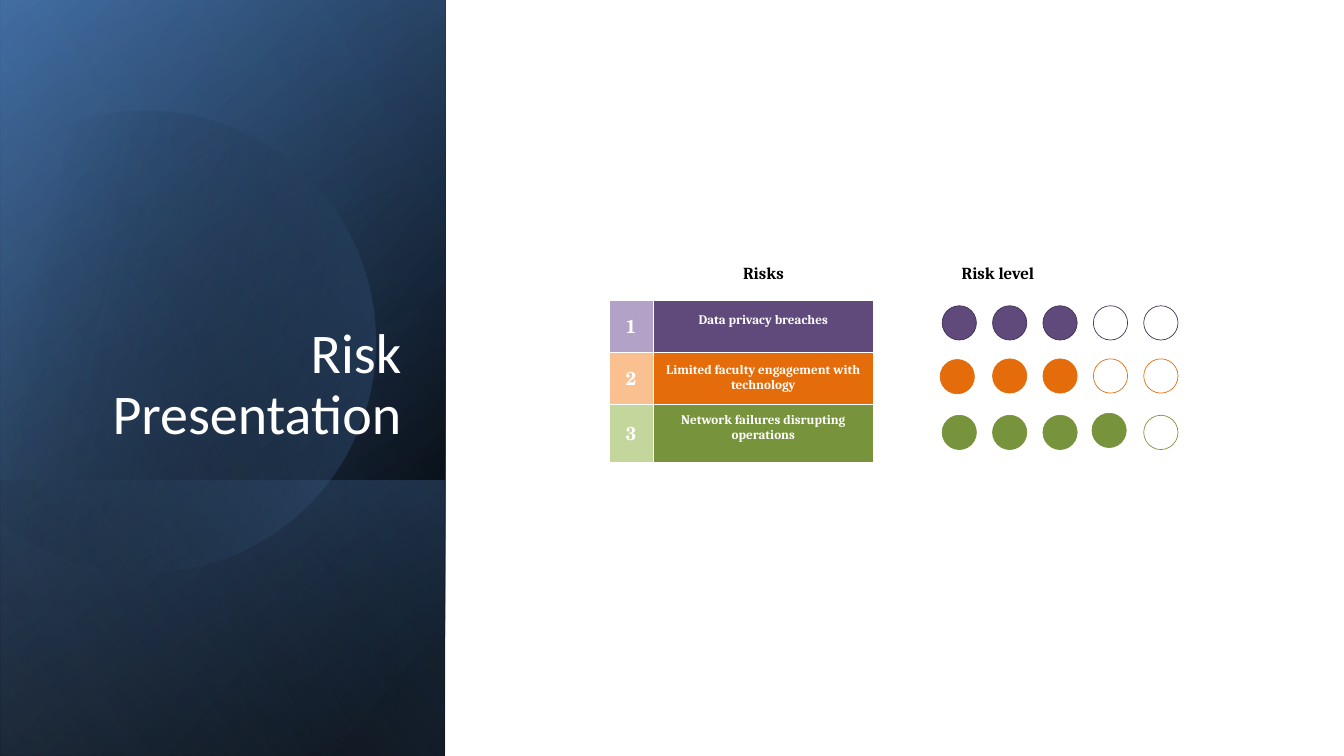
import math
from itertools import pairwise
from lxml import etree
from pptx import Presentation
from pptx import util as u
from pptx.dml.color import RGBColor
from pptx.enum import shapes, text
from pptx.oxml import ns

# Content
TITLE = "Risk Presentation"
HEADS = ("Risks", "Risk level")
RISKS = [  # name, level, tint, fill, ring, free space under the text
    ("Data privacy breaches", 3, "B3A2C7", "604A7B", "403152", 0.17),
    ("Limited faculty engagement with technology", 3,
     "FAC090", "E46C0A", "E46C0A", 0),
    ("Network failures disrupting operations", 4,
     "C3D69B", "77933C", "77933C", 0.17),
]
TOP = 5  # highest level

THEME = {
    "white": "FFFFFF", "black": "000000", "sky": "4F81BD",
    "title": ("Calibri", 60), "head": ("Cambria", 18),
    "num": ("TeX Gyre Schola", 20), "body": ("Cambria", 14),
    "line": 0.75,
}
WHITE, BLACK, SKY = THEME["white"], THEME["black"], THEME["sky"]

# Side panel: box, gradient stops (place, colour, opacity), angle
SIDE = (-2.31, 2.31, 11.25, 6.62)
BASE = [
    (SIDE, [(8, BLACK, 100), (100, "376092", 100)], 50),
    (SIDE, [(0, BLACK, 0), (99, SKY, 46)], 30),
    ((1.26, 5.89, 4.1, 6.62), [(2, SKY, 29), (100, BLACK, 30)], 130),
]
VEIL = (SIDE, [(0, BLACK, 0), (99, "95B3D7", 11)], 120)

# Round glow: centre, radius, arc nodes in degrees, turn of the whole shape
GLOW = ([(29, BLACK, 0), (100, SKY, 43)], 30)
MID, RAD, NODES, TURN = (2.15, 5.02), 3.43, (-118, -90, 0, 90, 150), 343.9

# Grid of the table and the dots
LEFT, HIGH = 9.06, 3.7
COLS = (0.66, 3.28, 1.93, 1.77)
ROWS = (0.77, 0.77, 0.77, 0.87)
DOT, STEP, START = 0.51, 0.75, 14.02
DOTS = (4.55, 5.34, 6.18)
NUDGE = {(2, 0): (-0.03, 0.01), (3, 3): (-0.02, -0.03)}  # uneven dots

deck = Presentation()
deck.slide_width, deck.slide_height = u.Inches(20), u.Inches(11.25)
page = deck.slides.add_slide(deck.slide_layouts[6])


def inch(*sizes):
    return [u.Inches(s) for s in sizes]


def sub(node, tag, **attrs):
    return etree.SubElement(node, ns.qn(tag), **attrs)


def fade(shape, stops, angle):
    """Fill a shape with a gradient that has see-through stops."""
    shape.shadow.inherit = False
    shape.line.fill.background()
    grad = etree.Element(ns.qn("a:gradFill"), rotWithShape="1")
    group = sub(grad, "a:gsLst")
    for place, tone, alpha in stops:
        stop = sub(group, "a:gs", pos=str(place * 1000))
        clr = sub(stop, "a:srgbClr", val=tone)
        sub(clr, "a:alpha", val=str(alpha * 1000))
    sub(grad, "a:lin", ang=str(angle * 60000), scaled="0")
    shape.element.spPr.find(ns.qn("a:ln")).addprevious(grad)


def panel(box, stops, angle):
    rect = page.shapes.add_shape(shapes.MSO_SHAPE.RECTANGLE, *inch(*box))
    rect.rotation = 90
    rect.element.spPr.find(ns.qn("a:xfrm")).set("flipH", "1")
    fade(rect, stops, angle)


def curve(start, end):
    """Two control points and the end point of a circular arc."""
    pull = 4 / 3 * math.tan((end - start) / 4)
    for ang, lean in ((start, pull), (end, -pull), (end, 0)):
        cos, sin = math.cos(ang), math.sin(ang)
        yield inch(MID[0] + RAD * (cos - lean * sin),
                   MID[1] + RAD * (sin + lean * cos))


def glow():
    angs = [math.radians(n) for n in NODES]
    spots = [s for pair in pairwise(angs) for s in curve(*pair)]
    first = list(curve(angs[0], angs[0]))[-1]
    form = page.shapes.build_freeform(*first)
    form.add_line_segments(spots, close=True)
    shape = form.convert_to_shape()
    # Join each three points into one Bezier curve
    steps = list(shape.element.iter(ns.qn("a:lnTo")))
    for at in range(0, len(spots), 3):
        bend = etree.Element(ns.qn("a:cubicBezTo"))
        steps[at].addprevious(bend)
        for step in steps[at:at + 3]:
            bend.append(step[0])
            step.getparent().remove(step)
    shape.rotation = TURN
    fade(shape, *GLOW)


def write(frame, words, style, tone, align, bold):
    frame.text = words
    para = frame.paragraphs[0]
    para.alignment = align
    font = para.runs[0].font
    font.name, size = THEME[style]
    font.size, font.bold = u.Pt(size), bold
    font.color.rgb = RGBColor.from_string(tone)
    return para


def label(cell, words, style, tone, below=0):
    write(cell.text_frame, words, style, tone, text.PP_ALIGN.CENTER, True)
    cell.margin_left = cell.margin_right = cell.margin_top = u.Inches(0.12)
    cell.margin_bottom = u.Inches(0.12 + below)


def paint(cell, tone):
    cell.fill.solid()
    cell.fill.fore_color.rgb = RGBColor.from_string(tone)


def edge(cell):
    """Thin white borders, placed ahead of the cell's fill."""
    props = cell._tc.get_or_add_tcPr()
    for spot, side in enumerate(("a:lnL", "a:lnR", "a:lnT", "a:lnB")):
        line = etree.Element(ns.qn(side), w=str(u.Pt(THEME["line"])))
        sub(sub(line, "a:solidFill"), "a:srgbClr", val=WHITE)
        props.insert(spot, line)


# Side panel
for part in BASE:
    panel(*part)
glow()
panel(*VEIL)

# Title
frame = page.shapes.add_textbox(*inch(0.96, 2.76, 5.11, 3.93)).text_frame
frame.word_wrap = True
frame.vertical_anchor = text.MSO_ANCHOR.BOTTOM
para = write(frame, TITLE, "title", WHITE, text.PP_ALIGN.RIGHT, False)
para.line_spacing, para.space_after = 0.9, u.Pt(9)

# Table
grid = page.shapes.add_table(
    len(ROWS), len(COLS), *inch(LEFT, HIGH, sum(COLS), sum(ROWS))).table
grid.first_row = grid.horz_banding = False
for col, size in zip(grid.columns, COLS):
    col.width = u.Inches(size)
for row, size in zip(grid.rows, ROWS):
    row.height = u.Inches(size)
for cell in grid.iter_cells():
    cell.vertical_anchor = text.MSO_ANCHOR.MIDDLE
    cell.fill.background()
    edge(cell)
paint(grid.cell(0, 0), WHITE)
grid.cell(0, 2).merge(grid.cell(0, 3))
for col, head in enumerate(HEADS, 1):
    label(grid.cell(0, col), head, "head", BLACK)

# Risks, each with its row of dots
for row, (name, level, tint, tone, ring, below) in enumerate(RISKS, 1):
    paint(grid.cell(row, 0), tint)
    label(grid.cell(row, 0), str(row), "num", WHITE)
    paint(grid.cell(row, 1), tone)
    label(grid.cell(row, 1), name, "body", WHITE, below)
    for spot in range(TOP):
        dx, dy = NUDGE.get((row, spot), (0, 0))
        dot = page.shapes.add_shape(
            shapes.MSO_SHAPE.OVAL,
            *inch(START + spot * STEP + dx, DOTS[row - 1] + dy, DOT, DOT))
        dot.shadow.inherit = False
        paint(dot, tone if spot < level else WHITE)
        dot.line.color.rgb = RGBColor.from_string(ring)
        dot.line.width = u.Pt(THEME["line"])

deck.save("out.pptx")
